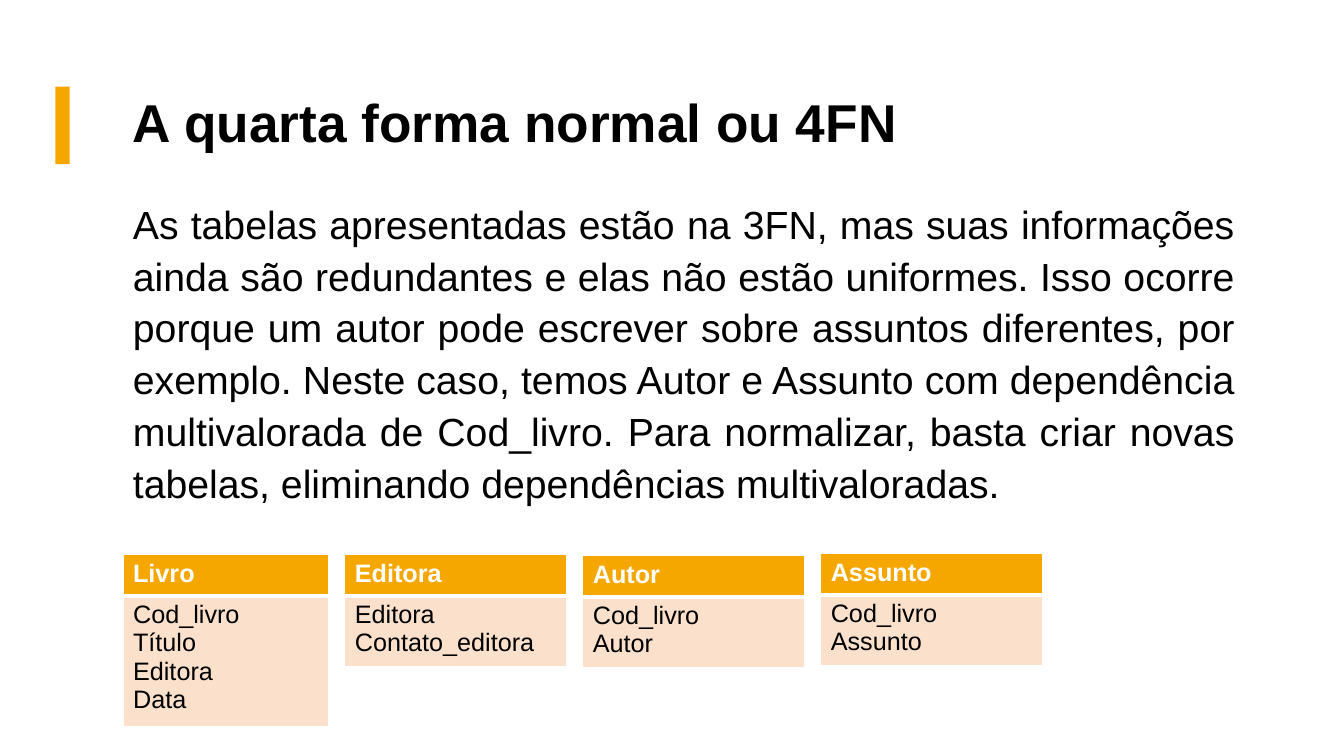
"""Builds the slide about the fourth normal form, with four entity tables."""
from lxml import etree
from pptx import Presentation
from pptx.dml.color import RGBColor
from pptx.enum.shapes import MSO_SHAPE
from pptx.enum.text import MSO_ANCHOR, PP_ALIGN
from pptx.oxml.ns import qn
from pptx.util import Inches, Pt

RECTANGLE = MSO_SHAPE.RECTANGLE
TOP, MIDDLE = MSO_ANCHOR.TOP, MSO_ANCHOR.MIDDLE
LEFT, JUSTIFY = PP_ALIGN.LEFT, PP_ALIGN.JUSTIFY

TITLE = "A quarta forma normal ou 4FN"
BODY = (
    "As tabelas apresentadas estão na 3FN, mas suas informações ainda são "
    "redundantes e elas não estão uniformes. Isso ocorre porque um autor pode "
    "escrever sobre assuntos diferentes, por exemplo. Neste caso, temos Autor e "
    "Assunto com dependência multivalorada de Cod_livro. Para normalizar, basta "
    "criar novas tabelas, eliminando dependências multivaloradas."
)
ENTITIES = [
    ("Livro", ["Cod_livro", "Título", "Editora", "Data"], 5.5, 2.04),
    ("Editora", ["Editora", "Contato_editora"], 5.5, 2.2),
    ("Autor", ["Cod_livro", "Autor"], 5.51, 2.2),
    ("Assunto", ["Cod_livro", "Assunto"], 5.49, 2.2),
]
FONT = "Arial"
ORANGE, PEACH, WHITE, BLACK = "F5A700", "FBE1CC", "FFFFFF", "000000"
MARGIN, TEXT_WIDTH = 1.22, 11.12
TABLE_GAP = 0.16
HEADER_HEIGHT, LINE_HEIGHT, CELL_PADDING = 0.41, 0.28, 0.1


def paint(color_format, color):
    color_format.rgb = RGBColor.from_string(color)


def fill_solid(target, color):
    target.fill.solid()
    paint(target.fill.fore_color, color)


def add_run(paragraph, text, size, color, bold=False):
    run = paragraph.add_run()
    run.text = text
    run.font.name = FONT
    run.font.size = Pt(size)
    run.font.bold = bold
    paint(run.font.color, color)


def add_text(slide, text, top, height, size, anchor, align, spacing, bold=False, before=0):
    box = slide.shapes.add_textbox(
        Inches(MARGIN), Inches(top), Inches(TEXT_WIDTH), Inches(height))
    frame = box.text_frame
    frame.word_wrap = True
    frame.vertical_anchor = anchor
    paragraph = frame.paragraphs[0]
    paragraph.alignment = align
    paragraph.line_spacing = spacing
    paragraph.space_before = Pt(before)
    add_run(paragraph, text, size, BLACK, bold)


def set_borders(cell, top, bottom):
    properties = cell._tc.get_or_add_tcPr()
    widths = [("a:lnL", 1), ("a:lnR", 1), ("a:lnT", top), ("a:lnB", bottom)]
    for position, (side, width) in enumerate(widths):
        line = etree.Element(qn(side), w=str(Pt(width)))
        solid = etree.SubElement(line, qn("a:solidFill"))
        etree.SubElement(solid, qn("a:srgbClr"), val=WHITE)
        properties.insert(position, line)


def fill_cell(cell, lines, fill, color, bold, top, bottom):
    fill_solid(cell, fill)
    set_borders(cell, top, bottom)
    frame = cell.text_frame
    for index, line in enumerate(lines):
        paragraph = frame.add_paragraph() if index else frame.paragraphs[0]
        add_run(paragraph, line, 18, color, bold)


def add_entity(slide, name, fields, left, top, width):
    fields_height = CELL_PADDING + LINE_HEIGHT * len(fields)
    table = slide.shapes.add_table(
        2, 1, Inches(left), Inches(top), Inches(width),
        Inches(HEADER_HEIGHT + fields_height)).table
    table.rows[0].height = Inches(HEADER_HEIGHT)
    table.rows[1].height = Inches(fields_height)
    fill_cell(table.cell(0, 0), [name], ORANGE, WHITE, True, 1, 3)
    fill_cell(table.cell(1, 0), fields, PEACH, BLACK, False, 3, 1)


def main():
    deck = Presentation()
    deck.slide_width, deck.slide_height = Inches(13.33), Inches(7.5)
    slide = deck.slides.add_slide(deck.slide_layouts[6])

    accent = slide.shapes.add_shape(
        RECTANGLE, Inches(0.55), Inches(0.86), Inches(0.14), Inches(0.77))
    accent.shadow.inherit = False
    fill_solid(accent, ORANGE)
    accent.line.fill.background()

    add_text(slide, TITLE, 0.6, 1.29, 38, MIDDLE, LEFT, 0.9, bold=True)
    add_text(slide, BODY, 1.89, 5.01, 28, TOP, JUSTIFY, 1.1, before=10)

    left = MARGIN
    for name, fields, top, width in ENTITIES:
        add_entity(slide, name, fields, left, top, width)
        left += width + TABLE_GAP

    deck.save("out.pptx")


if __name__ == "__main__":
    main()
